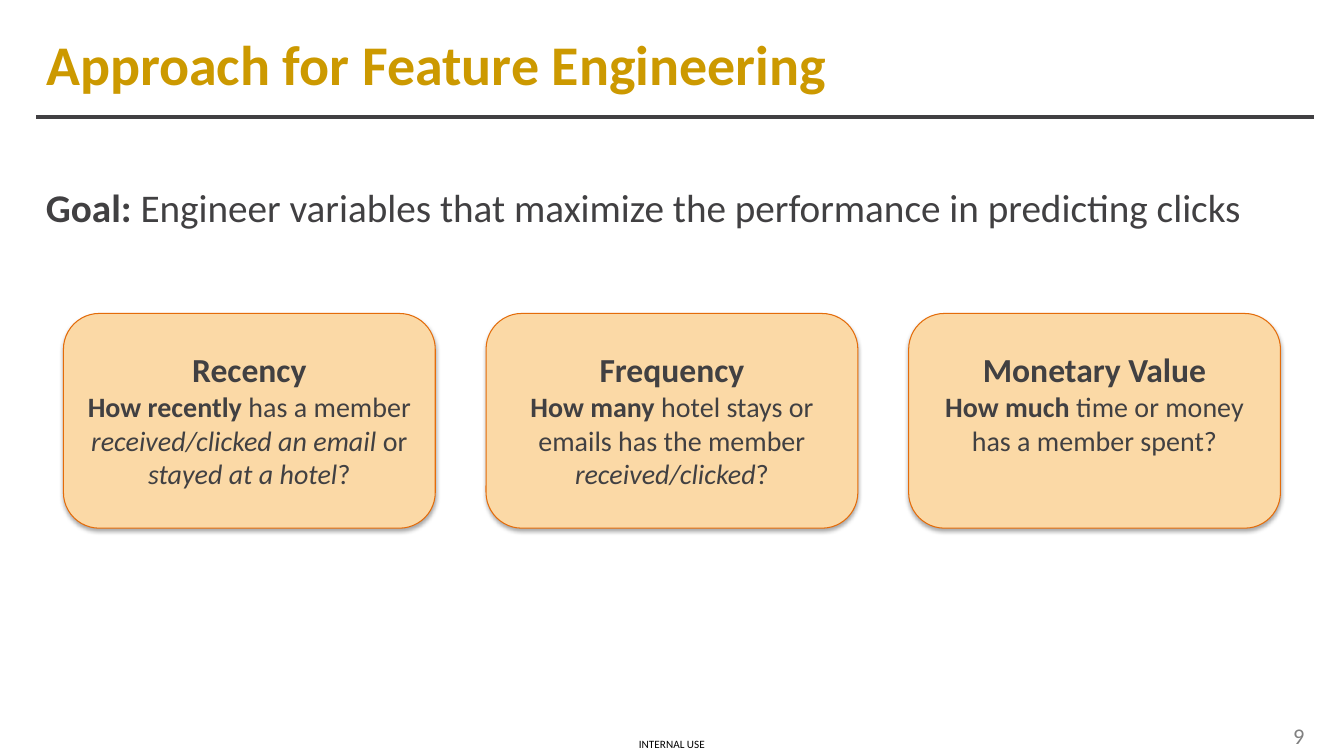
import pptx
import pptx.dml.color
import pptx.enum.shapes
import pptx.enum.text
import pptx.oxml
import pptx.util
from pptx.oxml import ns

Cm = pptx.util.Cm
Pt = pptx.util.Pt
Align = pptx.enum.text.PP_ALIGN
Anchor = pptx.enum.text.MSO_ANCHOR
Fit = pptx.enum.text.MSO_AUTO_SIZE

SHADE = (
    f'<a:outerShdw {ns.nsdecls("a")} blurRad="40000" dist="23000" dir="5400000" rotWithShape="0">'
    '<a:srgbClr val="000000"><a:alpha val="35000"/></a:srgbClr></a:outerShdw>'
)


def color(code):
    return pptx.dml.color.RGBColor.from_string(code)


class Deck:
    font = "Calibri"
    ink = "414042"
    gold = "CC9900"
    fill = "FBD9A6"
    edge = "E46C0A"

    def __init__(self, wide, high):
        self.file = pptx.Presentation()
        self.file.slide_width = Cm(wide)
        self.file.slide_height = Cm(high)
        self.slide = self.file.slides.add_slide(self.file.slide_layouts[5])

    def style(self, para, runs, size, ink=None, align=Align.LEFT, space=None):
        para.alignment = align
        if space:
            para.line_spacing = space
        para.font.name = self.font
        para.font.size = Pt(size)
        para.font.color.rgb = color(ink or self.ink)
        for text, mark in runs:
            run = para.add_run()
            run.text = text
            if mark == "b":
                run.font.bold = True
            if mark == "i":
                run.font.italic = True

    def title(self, text, x, y, w, h):
        head = self.slide.shapes.title
        head.left, head.top, head.width, head.height = Cm(x), Cm(y), Cm(w), Cm(h)
        frame = head.text_frame
        frame.auto_size = Fit.NONE
        frame.vertical_anchor = Anchor.MIDDLE
        para = frame.paragraphs[0]
        self.style(para, [(text, "")], 40, self.gold)
        para.font.bold = True

    def rule(self, x, y, end):
        kind = pptx.enum.shapes.MSO_CONNECTOR.STRAIGHT
        line = self.slide.shapes.add_connector(kind, Cm(x), Cm(y), Cm(end), Cm(y))
        line.line.color.rgb = color(self.ink)
        line.line.width = Pt(3)
        line._element.spPr.append(pptx.oxml.parse_xml(f'<a:effectLst {ns.nsdecls("a")}/>'))

    def text(self, runs, x, y, w, h, size, anchor=Anchor.MIDDLE, **look):
        box = self.slide.shapes.add_textbox(Cm(x), Cm(y), Cm(w), Cm(h))
        frame = box.text_frame
        frame.word_wrap = True
        frame.vertical_anchor = anchor
        self.style(frame.paragraphs[0], runs, size, **look)

    def card(self, name, runs, x, y, w, h):
        kind = pptx.enum.shapes.MSO_SHAPE.ROUNDED_RECTANGLE
        card = self.slide.shapes.add_shape(kind, Cm(x), Cm(y), Cm(w), Cm(h))
        card.fill.solid()
        card.fill.fore_color.rgb = color(self.fill)
        card.line.color.rgb = color(self.edge)
        card.line.width = Pt(0.75)
        card.shadow.inherit = False
        card._element.spPr.find(ns.qn("a:effectLst")).append(pptx.oxml.parse_xml(SHADE))
        frame = card.text_frame
        frame.word_wrap = True
        frame.vertical_anchor = Anchor.TOP
        self.style(frame.paragraphs[0], [(name, "b")], 24, align=Align.CENTER, space=1.5)
        self.style(frame.add_paragraph(), runs, 20, align=Align.CENTER)


CARDS = [
    ("Recency", [
        ("How recently", "b"), (" has a member ", ""),
        ("received/clicked an email ", "i"), ("or ", ""),
        ("stayed at a hotel", "i"), ("?", ""),
    ]),
    ("Frequency", [
        ("How many ", "b"), ("hotel stays or emails has the member ", ""),
        ("received/clicked", "i"), ("?", ""),
    ]),
    ("Monetary Value", [
        ("How much", "b"), (" time or money has a member spent?", ""),
    ]),
]


def main():
    deck = Deck(33.87, 19.05)
    deck.title("Approach for Feature Engineering", 0.91, 0.56, 28.75, 2.08)
    deck.rule(0.91, 2.95, 33.12)
    goal = [
        ("Goal: ", "b"),
        ("Engineer variables that maximize the performance in predicting clicks", ""),
    ]
    deck.text(goal, 0.91, 3.89, 31.8, 1.85, 28, Anchor.TOP, space=1.5)
    for i, (name, runs) in enumerate(CARDS):
        deck.card(name, runs, 1.6 + 10.65 * i, 7.9, 9.37, 5.41)
    deck.text([("INTERNAL USE", "")], 15.27, 18.42, 3.33, 0.64, 8,
              ink="000000", align=Align.CENTER)
    deck.text([("9", "")], 24.28, 18.03, 8.84, 1.02, 16,
              ink="808080", align=Align.RIGHT)
    deck.file.save("out.pptx")


if __name__ == "__main__":
    main()
